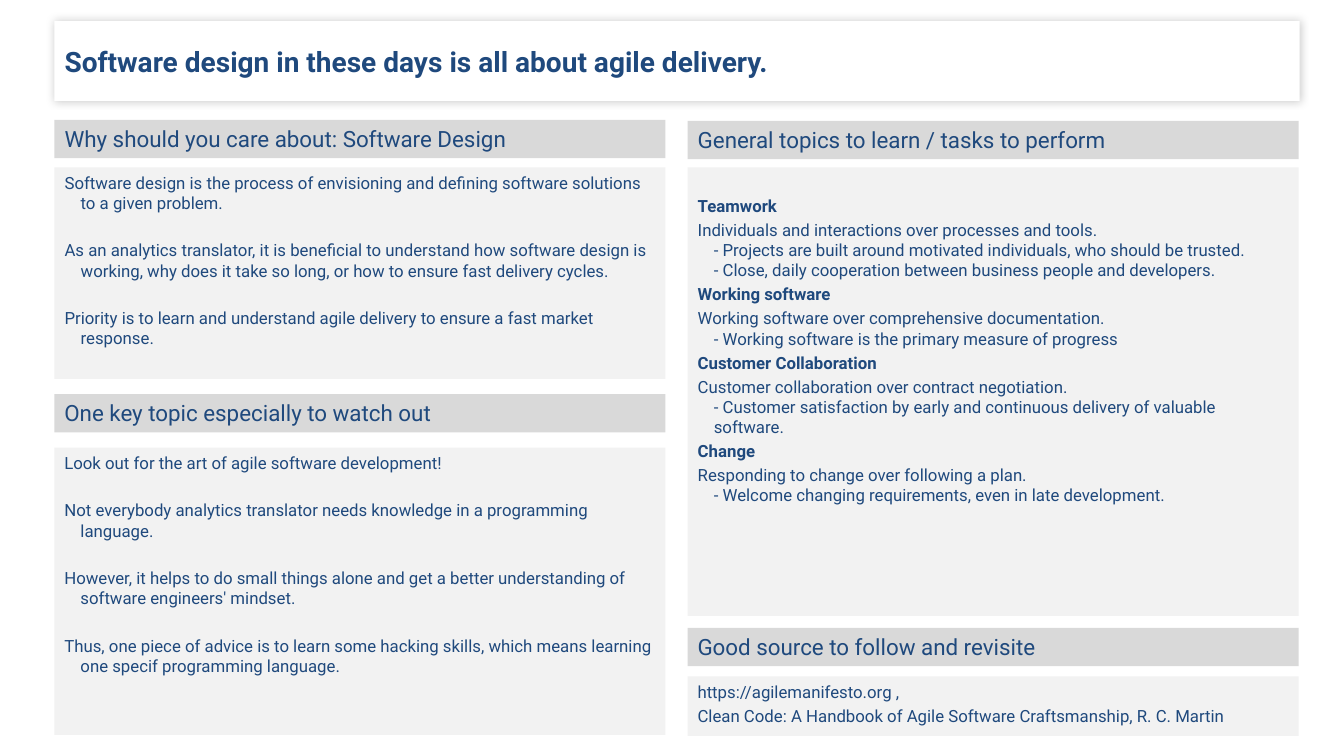
from copy import deepcopy

from lxml import etree
from pptx import Presentation
from pptx.dml.color import RGBColor
from pptx.enum.text import MSO_ANCHOR, MSO_AUTO_SIZE, PP_ALIGN
from pptx.oxml import parse_xml
from pptx.oxml.ns import nsdecls, qn
from pptx.util import Inches, Pt

LEFT = PP_ALIGN.LEFT
TOP = MSO_ANCHOR.TOP
MIDDLE = MSO_ANCHOR.MIDDLE
NO_FIT = MSO_AUTO_SIZE.NONE

BLUE, WHITE, GREY, PALE = "1F497D", "FFFFFF", "D9D9D9", "F2F2F2"
COL_A, COL_B, COL_W, HEAD_H = 0.54, 6.82, 6.06, 0.38
HANG = 0.16
TIGHT, WIDE = 2.8, 19.6  # points before a paragraph

TITLE = {"size": Pt(20), "bold": True}
HEAD = {"size": Pt(16), "bold": False}
BODY = {"size": Pt(12), "bold": False}
BOLD = {"size": Pt(12), "bold": True}

WHY = [
    "Software design is the process of envisioning and defining software "
    "solutions to a given problem.",
    "As an analytics translator, it is beneficial to understand how software "
    "design is working, why does it take so long, or how to ensure fast "
    "delivery cycles.",
    "Priority is to learn and understand agile delivery to ensure a fast "
    "market response.",
]
WATCH = [
    "Look out for the art of agile software development!",
    "Not everybody analytics translator needs knowledge in a programming "
    "language.",
    "However, it helps to do small things alone and get a better "
    "understanding of software engineers' mindset.",
    "Thus, one piece of advice is to learn some hacking skills, which means "
    "learning one specif programming language.",
]
TOPICS = {
    "Teamwork":
        "Individuals and interactions over processes and tools.\n"
        "- Projects are built around motivated individuals, who should be "
        "trusted.\n"
        "- Close, daily cooperation between business people and developers.",
    "Working software":
        "Working software over comprehensive documentation.\n"
        "- Working software is the primary measure of progress",
    "Customer Collaboration":
        "Customer collaboration over contract negotiation.\n"
        "- Customer satisfaction by early and continuous delivery of valuable "
        "software.",
    "Change":
        "Responding to change over following a plan.\n"
        "- Welcome changing requirements, even in late development.",
}
SOURCES = [
    "https://agilemanifesto.org ,",
    "Clean Code: A Handbook of Agile Software Craftsmanship, R. C. Martin",
]


def color(code):
    return RGBColor.from_string(code)


def style(run, form):
    run.font.name = "Roboto"
    run.font.color.rgb = color(BLUE)
    for name, value in form.items():
        setattr(run.font, name, value)


def write(para, text, form, gap, hang):
    props = para._p.get_or_add_pPr()
    props.set("marL", str(Inches(hang)))
    props.set("indent", str(Inches(-hang)))
    etree.SubElement(props, qn("a:buNone"))
    para.space_before = Pt(gap)
    para.alignment = LEFT
    para.text = text
    for run in para.runs:
        style(run, form)
    # Line breaks take the size of the text around them
    for mark in para._p.findall(qn("a:br")):
        mark.append(deepcopy(para.runs[0]._r.rPr))


def panel(shape, box, fill, items, gap=TIGHT, hang=0, anchor=TOP, top=0.05):
    """Place a filled box and write its (text, form) paragraphs."""
    for name, value in zip(("left", "top", "width", "height"), box):
        setattr(shape, name, Inches(value))
    shape.fill.solid()
    shape.fill.fore_color.rgb = color(fill)
    frame = shape.text_frame
    form = {"word_wrap": True, "auto_size": NO_FIT, "vertical_anchor": anchor,
            "margin_left": Inches(0.1), "margin_right": Inches(0.1),
            "margin_top": Inches(top), "margin_bottom": Inches(0.05)}
    for name, value in form.items():
        setattr(frame, name, value)
    for num, (text, look) in enumerate(items):
        para = frame.add_paragraph() if num else frame.paragraphs[0]
        write(para, text, look, gap if num else 0, hang)


def shade(shape):
    shape._element.spPr.append(parse_xml(
        f'<a:effectLst {nsdecls("a")}>'
        f'<a:outerShdw blurRad="{Pt(6)}" dist="0" dir="18900000">'
        '<a:srgbClr val="000000"><a:alpha val="20000"/></a:srgbClr>'
        '</a:outerShdw></a:effectLst>'))


def main():
    deck = Presentation()
    deck.slide_width, deck.slide_height = Inches(13.33), Inches(7.5)
    slide = deck.slides.add_slide(deck.slide_layouts[4])
    holders = {item.placeholder_format.idx: item
               for item in slide.placeholders}

    # Title bar
    title = slide.shapes.title
    panel(title, (COL_A, 0.21, 12.35, 0.79), WHITE,
          [("Software design in these days is all about agile delivery.",
            TITLE)], anchor=MIDDLE)
    shade(title)

    # Sections: placeholder, heading, column, head top, body top, body height
    why = [(text, BODY) for text in WHY]
    watch = [(text, BODY) for text in WATCH]
    sources = [(text, BODY) for text in SOURCES]
    topics = [pair for name, text in TOPICS.items()
              for pair in ((name, BOLD), (text, BODY))]
    parts = [
        (1, "Why should you care about: Software Design",
         COL_A, 1.19, 1.66, 2.1, why, WIDE, 0.05),
        (3, "General topics to learn / tasks to perform",
         COL_B, 1.2, 1.66, 4.45, topics, TIGHT, 0.28),
        (None, "One key topic especially to watch out",
         COL_A, 3.91, 4.44, 2.85, watch, WIDE, 0.05),
        (None, "Good source to follow and revisite",
         COL_B, 6.23, 6.71, 0.59, sources, TIGHT, 0.05),
    ]
    for idx, name, left, head_y, body_y, tall, items, gap, top in parts:
        if idx:
            head, body = holders[idx], holders[idx + 1]
        else:
            head, body = (slide.shapes.add_textbox(0, 0, 0, 0)
                          for _ in range(2))
        panel(head, (left, head_y, COL_W, HEAD_H), GREY, [(name, HEAD)])
        panel(body, (left, body_y, COL_W, tall), PALE, items, gap, HANG,
              top=top)

    deck.save("out.pptx")


if __name__ == "__main__":
    main()
